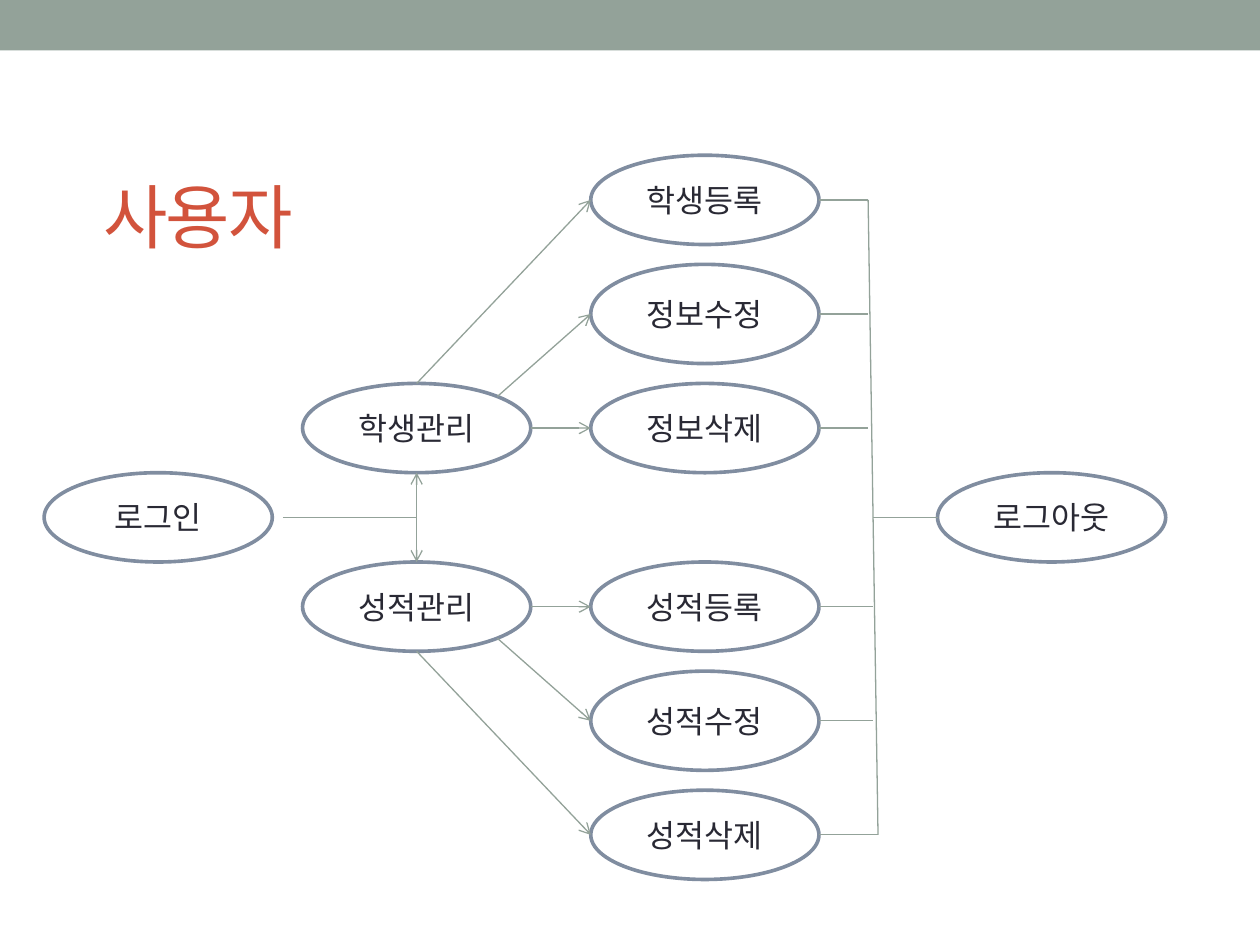
from math import sqrt

from lxml import etree
from pptx import Presentation
from pptx.dml.color import RGBColor
from pptx.enum.shapes import MSO_CONNECTOR, MSO_SHAPE
from pptx.enum.text import MSO_ANCHOR, PP_ALIGN
from pptx.oxml.ns import qn
from pptx.util import Cm, Pt

LINE, OVAL, RECT = MSO_CONNECTOR.STRAIGHT, MSO_SHAPE.OVAL, MSO_SHAPE.RECTANGLE
MIDDLE, CENTER = MSO_ANCHOR.MIDDLE, PP_ALIGN.CENTER

SAGE = RGBColor(0x93, 0xA2, 0x99)
SLATE = RGBColor(0x80, 0x8D, 0xA0)
INK = RGBColor(0x29, 0x29, 0x34)
RED = RGBColor(0xD2, 0x53, 0x3C)
WHITE = RGBColor(0xFF, 0xFF, 0xFF)
LATIN, KOREAN = "Arial", "Noto Sans CJK KR"

TITLE = "사용자"
LOGIN, LOGOUT = "로그인", "로그아웃"
# Direction from the middle row (-1 up, 1 down), menu, actions from the middle outwards
MENUS = [
    (-1, "학생관리", ["정보삭제", "정보수정", "학생등록"]),
    (1, "성적관리", ["성적등록", "성적수정", "성적삭제"]),
]

# All lengths in cm
MID_Y = 10.43
LOGIN_X, MENU_X, ACTION_X, LOGOUT_X = 0.89, 6.1, 11.91, 18.9
OVAL_W = 4.6
HEIGHTS = [1.8, 2, 1.8]
FIRST_ROW, ROW_STEP = 1.8, 2.3
BUS_TOP_X, BUS_MID_X, BUS_BOTTOM_X = 17.5, 17.6, 17.7

prs = Presentation()
prs.slide_width, prs.slide_height = Cm(25.4), Cm(19.05)
s = prs.slides.add_slide(prs.slide_layouts[6])


def write(tf, text, size, color, font):
    tf.vertical_anchor = MIDDLE
    r = tf.paragraphs[0].add_run()
    r.text = text
    r.font.size, r.font.name = Pt(size), font
    r.font.color.rgb = color
    rPr = r._r.get_or_add_rPr()
    etree.SubElement(rPr, qn("a:ea"), typeface=KOREAN)
    return rPr


def add_oval(text, x, center_y, h=HEIGHTS[0]):
    sp = s.shapes.add_shape(OVAL, Cm(x), Cm(center_y - h / 2), Cm(OVAL_W), Cm(h))
    sp.shadow.inherit = False
    sp.fill.solid()
    sp.fill.fore_color.rgb = WHITE
    sp.line.color.rgb = SLATE
    sp.line.width = Pt(2.08)
    write(sp.text_frame, text, 18, INK, LATIN)
    sp.text_frame.paragraphs[0].alignment = CENTER


def add_line(x1, y1, x2, y2, arrow=False):
    c = s.shapes.add_connector(LINE, Cm(x1), Cm(y1), Cm(x2), Cm(y2))
    c.line.color.rgb = SAGE
    c.line.width = Pt(0.75)
    if arrow:
        etree.SubElement(c.line._get_or_add_ln(), qn("a:tailEnd"), type="arrow")
    etree.SubElement(c._element.spPr, qn("a:effectLst"))


band = s.shapes.add_shape(RECT, 0, 0, prs.slide_width, Cm(1.02))
band.shadow.inherit = False
band.fill.solid()
band.fill.fore_color.rgb = SAGE
band.line.fill.background()

add_oval(LOGIN, LOGIN_X, MID_Y)
add_oval(LOGOUT, LOGOUT_X, MID_Y)

menu_center = MENU_X + OVAL_W / 2
menu_right = MENU_X + OVAL_W
add_line(5.7, MID_Y, menu_center, MID_Y)

half_h = HEIGHTS[0] / 2
for side, menu, actions in MENUS:
    menu_y = MID_Y + side * FIRST_ROW
    add_oval(menu, MENU_X, menu_y)
    add_line(menu_center, MID_Y, menu_center, menu_y - side * half_h, arrow=True)

    # Arrows leave the menu at its right end, its outer diagonal and its outer edge
    starts = [
        (menu_right, menu_y),
        (menu_center + OVAL_W / 2 / sqrt(2), menu_y + side * half_h / sqrt(2)),
        (menu_center, menu_y + side * half_h),
    ]
    bus_ends = ([BUS_TOP_X] * 3 if side < 0
                else [BUS_MID_X, BUS_MID_X, BUS_BOTTOM_X])
    for i, (action, h, start, bus_x) in enumerate(zip(actions, HEIGHTS, starts, bus_ends)):
        y = menu_y + side * i * ROW_STEP
        add_oval(action, ACTION_X, y, h)
        add_line(*start, ACTION_X, y, arrow=True)
        add_line(ACTION_X + OVAL_W, y, bus_x, y)

reach = FIRST_ROW + 2 * ROW_STEP
add_line(BUS_BOTTOM_X, MID_Y + reach, BUS_TOP_X, MID_Y - reach)
add_line(BUS_MID_X, MID_Y, LOGOUT_X, MID_Y)

title = s.shapes.add_textbox(Cm(1.83), Cm(2.97), Cm(22.86), Cm(2.74))
title.text_frame.word_wrap = True
write(title.text_frame, TITLE, 40, RED, KOREAN).set("spc", "-100")

prs.save("out.pptx")
